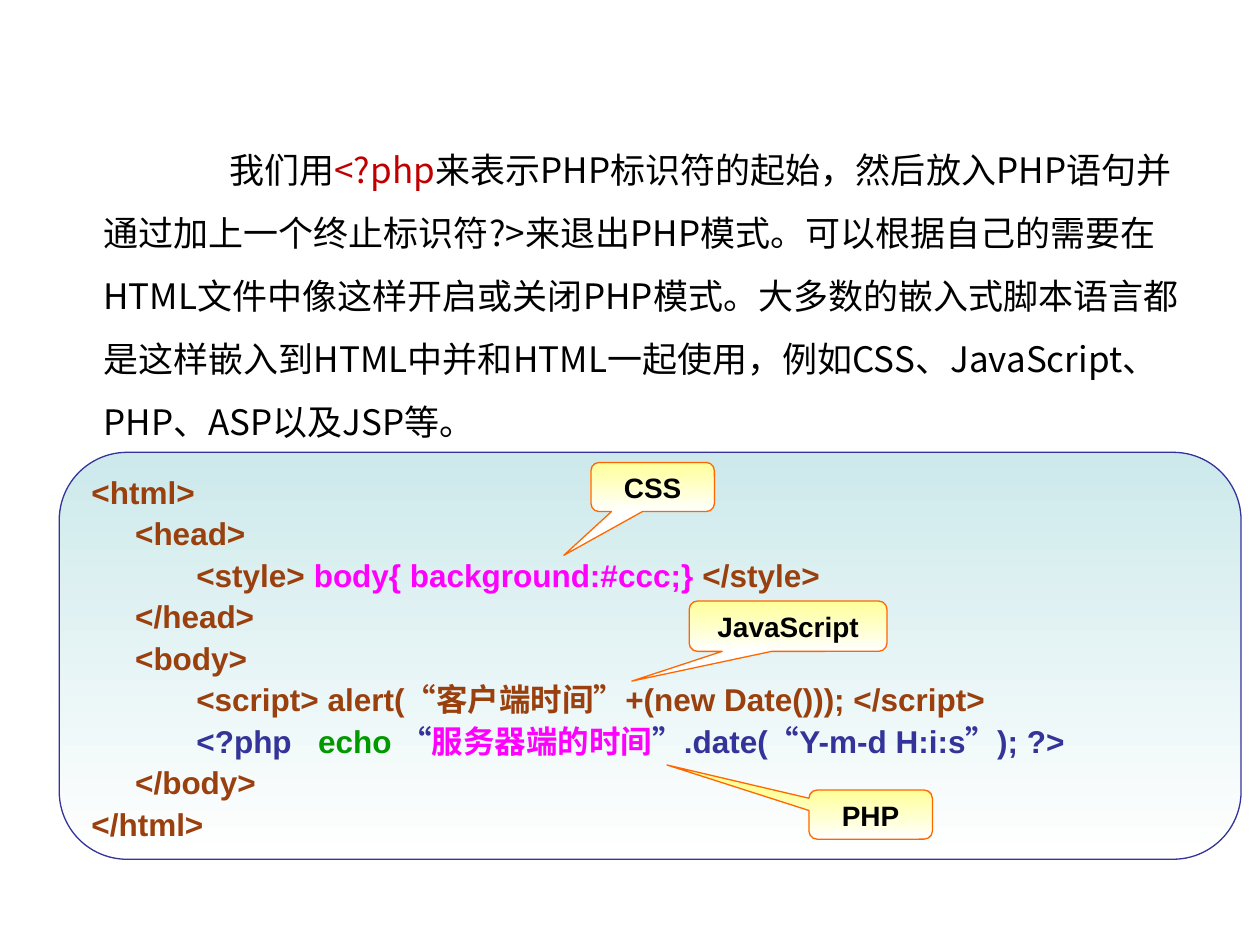
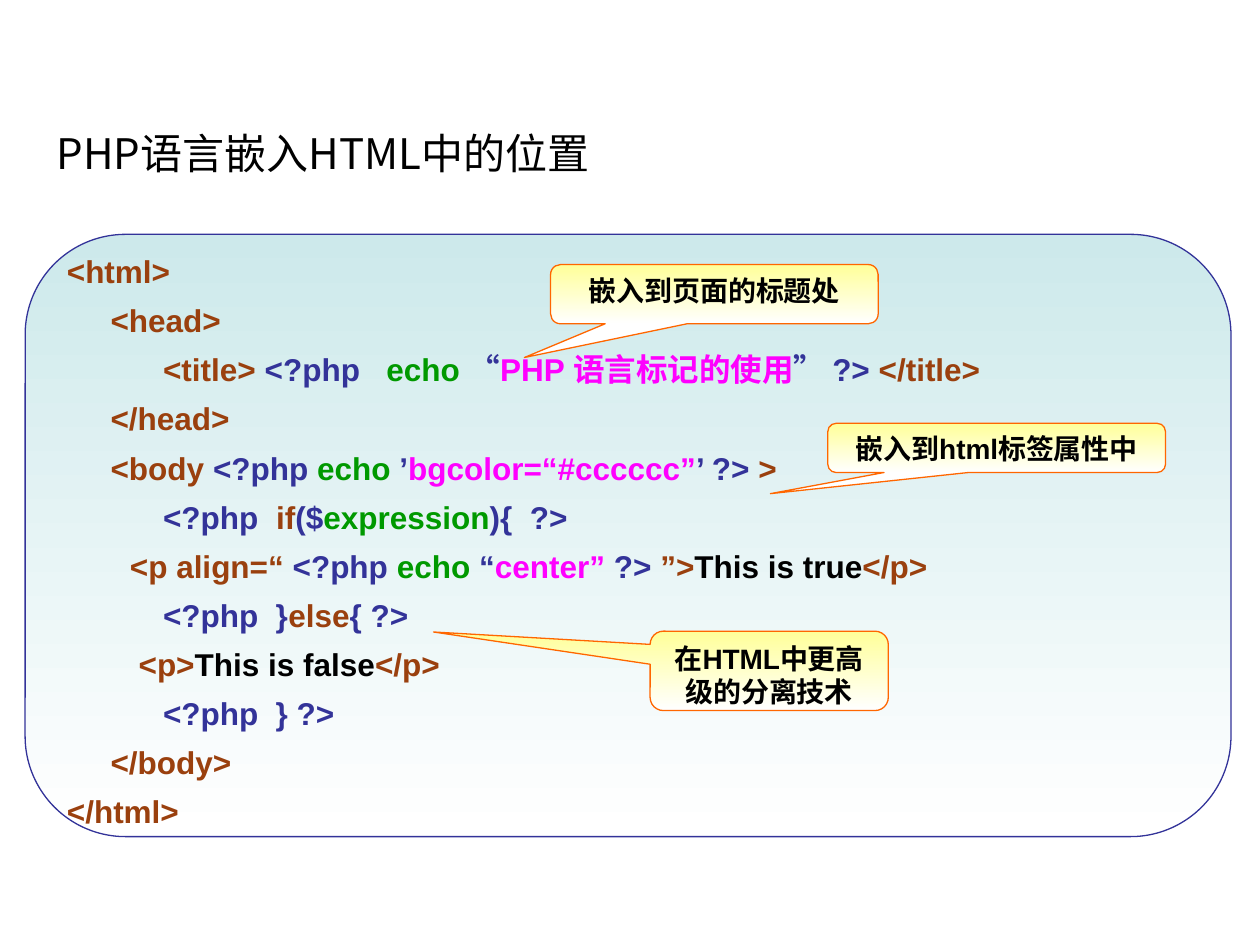
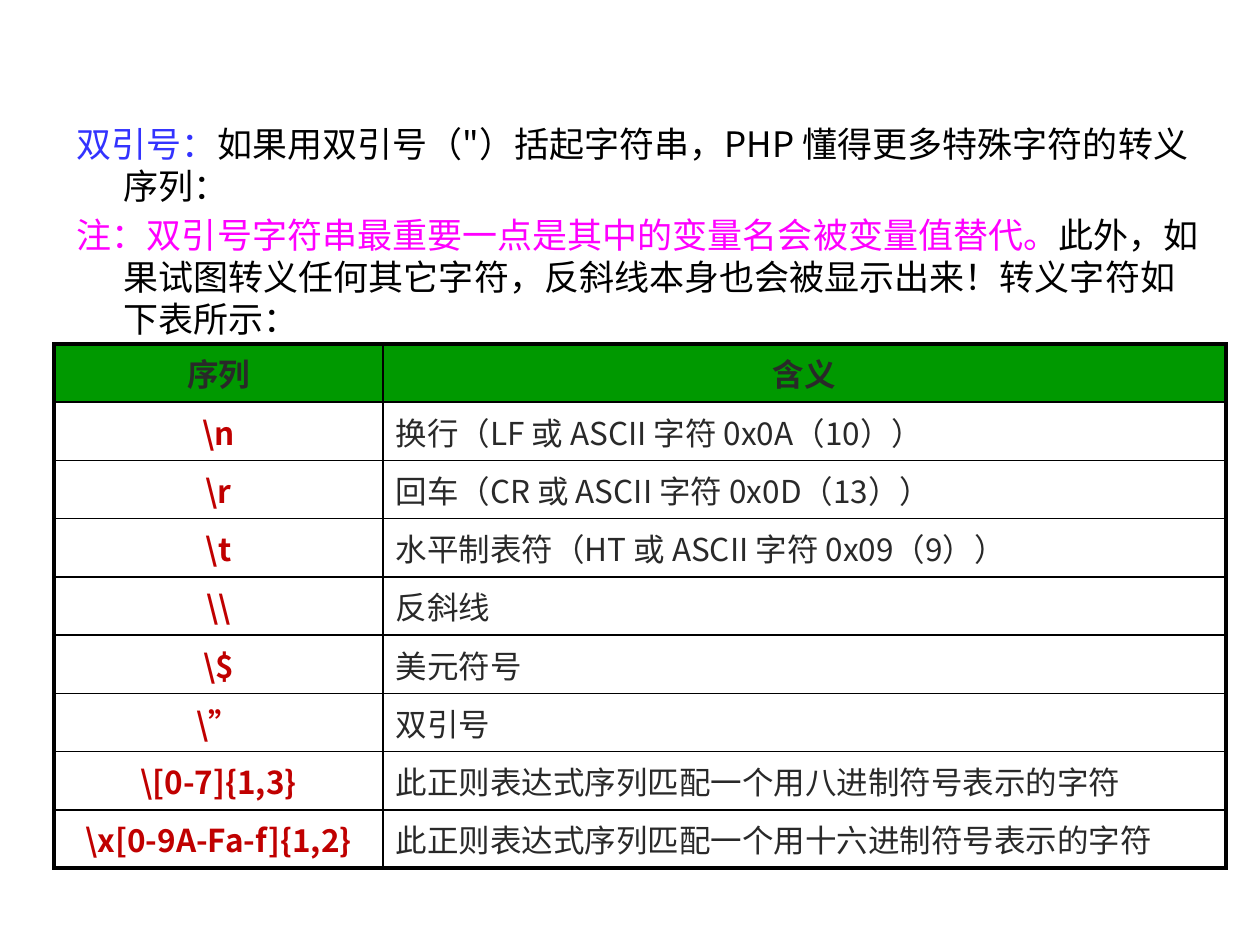
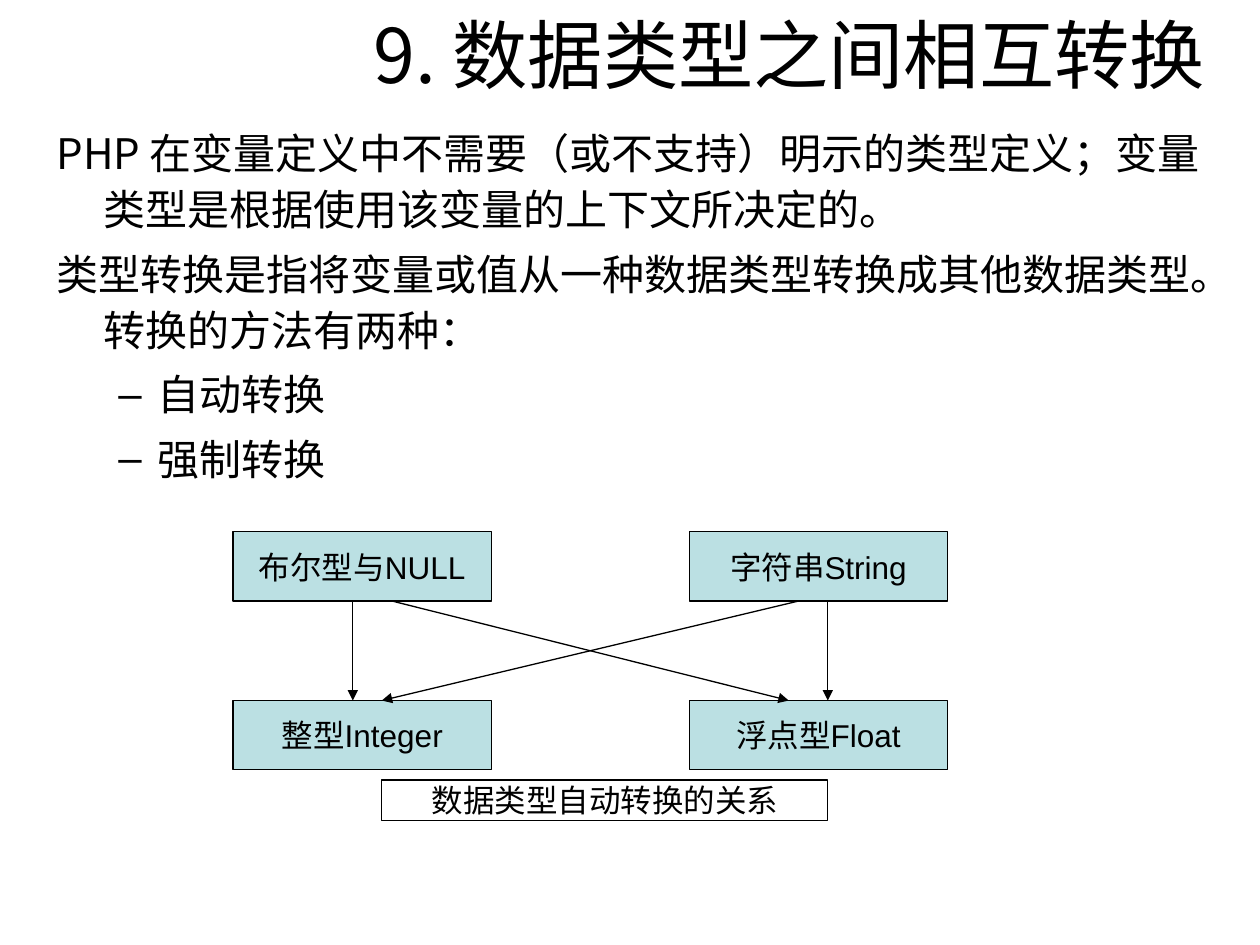
"""Builds four slides on PHP in HTML, escapes and type conversion."""
from lxml.etree import SubElement
from pptx import Presentation
from pptx.dml.color import RGBColor
from pptx.enum.shapes import MSO_CONNECTOR, MSO_SHAPE
from pptx.enum.text import MSO_ANCHOR, MSO_AUTO_SIZE, PP_ALIGN
from pptx.oxml.ns import qn
from pptx.util import Inches, Pt

LEFT, CENTER, RIGHT = PP_ALIGN.LEFT, PP_ALIGN.CENTER, PP_ALIGN.RIGHT
TOP, MIDDLE = MSO_ANCHOR.TOP, MSO_ANCHOR.MIDDLE
PANEL = MSO_SHAPE.FLOWCHART_ALTERNATE_PROCESS
CALLOUT = MSO_SHAPE.ROUNDED_RECTANGULAR_CALLOUT
RECT = MSO_SHAPE.RECTANGLE
STRAIGHT = MSO_CONNECTOR.STRAIGHT
NO_FIT = MSO_AUTO_SIZE.NONE

BLACK = RGBColor(0x00, 0x00, 0x00)
WHITE = RGBColor(0xFF, 0xFF, 0xFF)
GRAY = RGBColor(0x29, 0x29, 0x29)
RED = RGBColor(0xC0, 0x00, 0x00)
BLUE = RGBColor(0x33, 0x33, 0xFF)
NAVY = RGBColor(0x33, 0x33, 0x99)
GREEN = RGBColor(0x00, 0x99, 0x00)
PINK = RGBColor(0xFF, 0x00, 0xFF)
BROWN = RGBColor(0x9A, 0x40, 0x0E)
ORANGE = RGBColor(0xFF, 0x66, 0x00)
YELLOW = RGBColor(0xFF, 0xFF, 0x99)
MIST = RGBColor(0xCD, 0xE9, 0xEB)
TEAL = RGBColor(0xBB, 0xE0, 0xE3)

HAN = "Noto Sans CJK SC"
LATIN = "Arial"
THIN, THICK = 1, 2.25


class Deck:
    """Holds the shared style and the current slide."""

    def __init__(self):
        self.show = Presentation()
        self.show.slide_width = Inches(10)
        self.show.slide_height = Inches(7.5)
        self.slide = None

    def start(self, title=None):
        """Adds a slide, with a title if one is given."""
        self.slide = self.show.slides.add_slide(self.show.slide_layouts[1])
        head = self.slide.shapes.title
        if title is None:
            head.element.getparent().remove(head.element)
            return
        self.place(head, (-0.28, 0.08, 9.94, 0.69))
        head.text_frame.vertical_anchor = MIDDLE
        self.put(head.text_frame.paragraphs[0], title, 43, align=RIGHT)

    def place(self, shape, at):
        """Moves a placeholder and turns off its text fitting."""
        shape.left, shape.top, shape.width, shape.height = map(Inches, at)
        shape.text_frame.auto_size = NO_FIT

    def put(self, para, line, size, color=BLACK, face=HAN, bold=False, align=LEFT):
        """Sets a line of plain or (text, colour) parts."""
        para.alignment = align
        for part in [line] if isinstance(line, str) else line:
            text, tint = (part, None) if isinstance(part, str) else part
            run = para.add_run()
            run.text = text
            if tint is not None:
                run.font.color.rgb = tint
        font = para.font
        font.size, font.name, font.bold = Pt(size), face, bold
        font.color.rgb = color
        base = para._p.pPr.find(qn("a:defRPr"))
        SubElement(base, qn("a:ea")).set("typeface", HAN)

    def body(self, at, items, size, pitch=None, first=-0.37):
        """Fills the body placeholder with (level, line) items."""
        shape = self.slide.placeholders[1]
        self.place(shape, at)
        frame = shape.text_frame
        for count, (level, line) in enumerate(items):
            para = frame.add_paragraph() if count else frame.paragraphs[0]
            para.level = level
            para.space_before = Pt(size * 0.2 if count else 0)
            if pitch:
                para.line_spacing = Pt(pitch)
            props = para._p.get_or_add_pPr()
            margin, indent = (0.8, -0.31) if level else (0.37, first)
            props.set("marL", str(Inches(margin)))
            props.set("indent", str(Inches(indent)))
            if level:
                SubElement(props, qn("a:buChar")).set("char", "–")
            else:
                SubElement(props, qn("a:buNone"))
            self.put(para, line, size)

    def shape(self, kind, at, fill, line):
        """Adds a flat shape; a pair of fills makes a downward fade."""
        shape = self.slide.shapes.add_shape(kind, *map(Inches, at))
        shape.shadow.inherit = False
        if isinstance(fill, RGBColor):
            shape.fill.solid()
            shape.fill.fore_color.rgb = fill
        else:
            shape.fill.gradient()
            shape.fill.gradient_angle = 270
            for stop, tint in zip(shape.fill.gradient_stops, fill):
                stop.color.rgb = tint
        shape.line.color.rgb = line
        shape.line.width = Pt(0.75)
        return shape

    def code(self, at, rows, pitch):
        """Adds a rounded panel of code."""
        frame = self.shape(PANEL, at, (MIST, WHITE), NAVY).text_frame
        frame.word_wrap = False
        frame.vertical_anchor = MIDDLE
        for count, row in enumerate(rows):
            para = frame.add_paragraph() if count else frame.paragraphs[0]
            para.line_spacing = pitch
            self.put(para, row, 18, BROWN, LATIN, True)

    def callout(self, at, tip, text):
        """Adds a callout whose tip is offset from its centre."""
        shape = self.shape(CALLOUT, at, (YELLOW, WHITE), ORANGE)
        for index, value in enumerate(tip):
            shape.adjustments[index] = value
        frame = shape.text_frame
        frame.word_wrap = True
        frame.vertical_anchor = TOP
        self.put(frame.paragraphs[0], text, 16, face=LATIN, bold=True, align=CENTER)

    def box(self, at, text, fill):
        """Adds a labelled rectangle."""
        frame = self.shape(RECT, at, fill, BLACK).text_frame
        frame.word_wrap = False
        frame.vertical_anchor = MIDDLE
        self.put(frame.paragraphs[0], text, 18, face=LATIN, align=CENTER)

    def arrow(self, start, end):
        """Adds a straight arrow between two points."""
        ends = map(Inches, (*start, *end))
        line = self.slide.shapes.add_connector(STRAIGHT, *ends)
        line.line.color.rgb = BLACK
        line.line.width = Pt(0.75)
        props = line.element.spPr
        SubElement(props.find(qn("a:ln")), qn("a:tailEnd")).set("type", "triangle")
        SubElement(props, qn("a:effectLst"))

    def border(self, cell, side, width):
        """Draws one black side of a cell."""
        props = cell._tc.get_or_add_tcPr()
        edge = SubElement(props, qn("a:ln" + side), w=str(Pt(width)))
        fill = SubElement(edge, qn("a:solidFill"))
        SubElement(fill, qn("a:srgbClr")).set("val", str(BLACK))

    def table(self, at, widths, rows):
        """Adds a table with a green head and a thick frame."""
        high, wide = len(rows), len(widths)
        grid = self.slide.shapes.add_table(high, wide, *map(Inches, at)).table
        grid.first_row = grid.horz_banding = False
        for column, width in zip(grid.columns, widths):
            column.width = Inches(width)
        for r, row in enumerate(rows):
            grid.rows[r].height = Inches(0.42 if r < 2 else 0.4)
            for c, text in enumerate(row):
                cell = grid.cell(r, c)
                outer = {"L": c == 0, "R": c == wide - 1, "T": r == 0, "B": r == high - 1}
                for side, edge in outer.items():
                    self.border(cell, side, THICK if edge else THIN)
                head, key = r == 0, c == 0
                if head:
                    cell.fill.solid()
                    cell.fill.fore_color.rgb = GREEN
                else:
                    cell.fill.background()
                self.put(cell.text_frame.paragraphs[0], text, 18,
                         RED if key and not head else GRAY,
                         bold=head or key, align=CENTER if head or key else LEFT)


def embed(deck):
    """Shows scripts embedded in a page."""
    deck.start()
    deck.body((0.35, 0.96, 9.3, 5.5), [(0, [
        "我们用", ("<?php", RED),
        "来表示PHP标识符的起始，然后放入PHP语句并通过加上一个终止标识符?>来退出PHP模式。"
        "可以根据自己的需要在HTML文件中像这样开启或关闭PHP模式。大多数的嵌入式脚本语言都是"
        "这样嵌入到HTML中并和HTML一起使用，例如CSS、JavaScript、PHP、ASP以及JSP等。",
    ])], 20, 36, 1)
    deck.code((0.47, 3.59, 9.38, 3.23), [
        "<html>",
        "     <head>",
        ["            <style>", (" body{ background:#ccc;} ", PINK), "</style>"],
        "     </head>",
        "     <body>",
        "            <script> alert(“客户端时间”+(new Date())); </script>",
        ["            ", ("<?php   ", NAVY), ("echo ", GREEN), ("“", NAVY),
         ("服务器端的时间", PINK), ("”.date(“Y-m-d H:i:s”); ?>", NAVY)],
        "     </body>",
        "</html>",
    ], 1.1)
    deck.callout((4.69, 3.67, 0.98, 0.39), (-0.72, 1.39), "CSS")
    deck.callout((5.47, 4.77, 1.57, 0.4), (-0.79, 1.09), "JavaScript")
    deck.callout((6.42, 6.27, 0.98, 0.39), (-1.65, -1.01), "PHP")


def spots(deck):
    """Shows where PHP can stand in HTML."""
    deck.start()
    deck.body((0.35, 0.96, 9.3, 5.5), [(0, "PHP语言嵌入HTML中的位置")], 24)
    deck.code((0.2, 1.86, 9.57, 4.78), [
        "<html>",
        "     <head>",
        ["           <title> ", ("<?php   ", NAVY), ("echo ", GREEN), ("“", NAVY),
         ("PHP 语言标记的使用", PINK), ("” ?> ", NAVY), "</title>"],
        "     </head>",
        ["     <body ", ("<?php ", NAVY), ("echo ", GREEN), ("’", NAVY),
         ("bgcolor=“#cccccc”", PINK), ("’ ?> ", NAVY), ">"],
        [("           <?php  ", NAVY), "if", ("($", NAVY), ("expression", GREEN),
         ("){  ?>", NAVY)],
        ["\t<p align=“", (" <?php ", NAVY), ("echo ", GREEN), ("“", NAVY),
         ("center”", PINK), (" ?> ", NAVY), "”>", ("This is true", BLACK), "</p>"],
        [("           <?php  }", NAVY), "else", ("{ ?>", NAVY)],
        ["\t <p>", ("This is false", BLACK), "</p>"],
        [("           <?php  } ?>", NAVY)],
        "     </body>",
        "</html>",
    ], 1.3)
    deck.callout((4.37, 2.1, 2.6, 0.47), (-0.58, 1.07), "嵌入到页面的标题处")
    deck.callout((6.57, 3.36, 2.68, 0.39), (-0.67, 0.93), "嵌入到html标签属性中")
    deck.callout((5.16, 5.01, 1.89, 0.63), (-1.41, -0.49), "在HTML中更高级的分离技术")


def quotes(deck):
    """Lists the escapes of double quotes."""
    deck.start()
    deck.body((0.51, 0.92, 9.15, 2.28), [
        (0, [("双引号：", BLUE),
             '如果用双引号（"）括起字符串，PHP 懂得更多特殊字符的转义序列：']),
        (0, [("注：双引号字符串最重要一点是其中的变量名会被变量值替代。", PINK),
             "此外，如果试图转义任何其它字符，反斜线本身也会被显示出来！转义字符如下表所示："]),
    ], 20, 24)
    deck.table((0.43, 2.73, 9.3, 3.65), (2.61, 6.69), [
        ("序列", "含义"),
        (r"\n", "换行（LF 或 ASCII 字符 0x0A（10））"),
        (r"\r", "回车（CR 或 ASCII 字符 0x0D（13））"),
        (r"\t", "水平制表符（HT 或 ASCII 字符 0x09（9））"),
        (r"\\", "反斜线"),
        (r"\$", "美元符号"),
        (r"\”", "双引号"),
        (r"\[0-7]{1,3}", "此正则表达式序列匹配一个用八进制符号表示的字符"),
        (r"\x[0-9A-Fa-f]{1,2}", "此正则表达式序列匹配一个用十六进制符号表示的字符"),
    ])


def types(deck):
    """Shows how data types convert."""
    deck.start("9. 数据类型之间相互转换")
    deck.body((0.35, 0.92, 9.3, 5.5), [
        (0, "PHP 在变量定义中不需要（或不支持）明示的类型定义；变量类型是根据使用该变量的上下文所决定的。"),
        (0, "类型转换是指将变量或值从一种数据类型转换成其他数据类型。转换的方法有两种："),
        (1, "自动转换"),
        (1, "强制转换"),
    ], 24, 32)
    upper, lower, high = 4.22, 5.56, 0.55
    for top, pair in ((upper, ("布尔型与NULL", "字符串String")),
                      (lower, ("整型Integer", "浮点型Float"))):
        for left, text in zip((1.85, 5.47), pair):
            deck.box((left, top, 2.05, high), text, TEAL)
    deck.box((3.03, 6.19, 3.54, 0.32), "数据类型自动转换的关系", WHITE)
    for start, end in ((2.8, 2.8), (6.57, 6.57), (3.11, 6.26), (6.34, 3.03)):
        deck.arrow((start, upper + high), (end, lower))


def main():
    """Builds and saves the deck."""
    deck = Deck()
    for build in (embed, spots, quotes, types):
        build(deck)
    deck.show.save("out.pptx")


if __name__ == "__main__":
    main()
